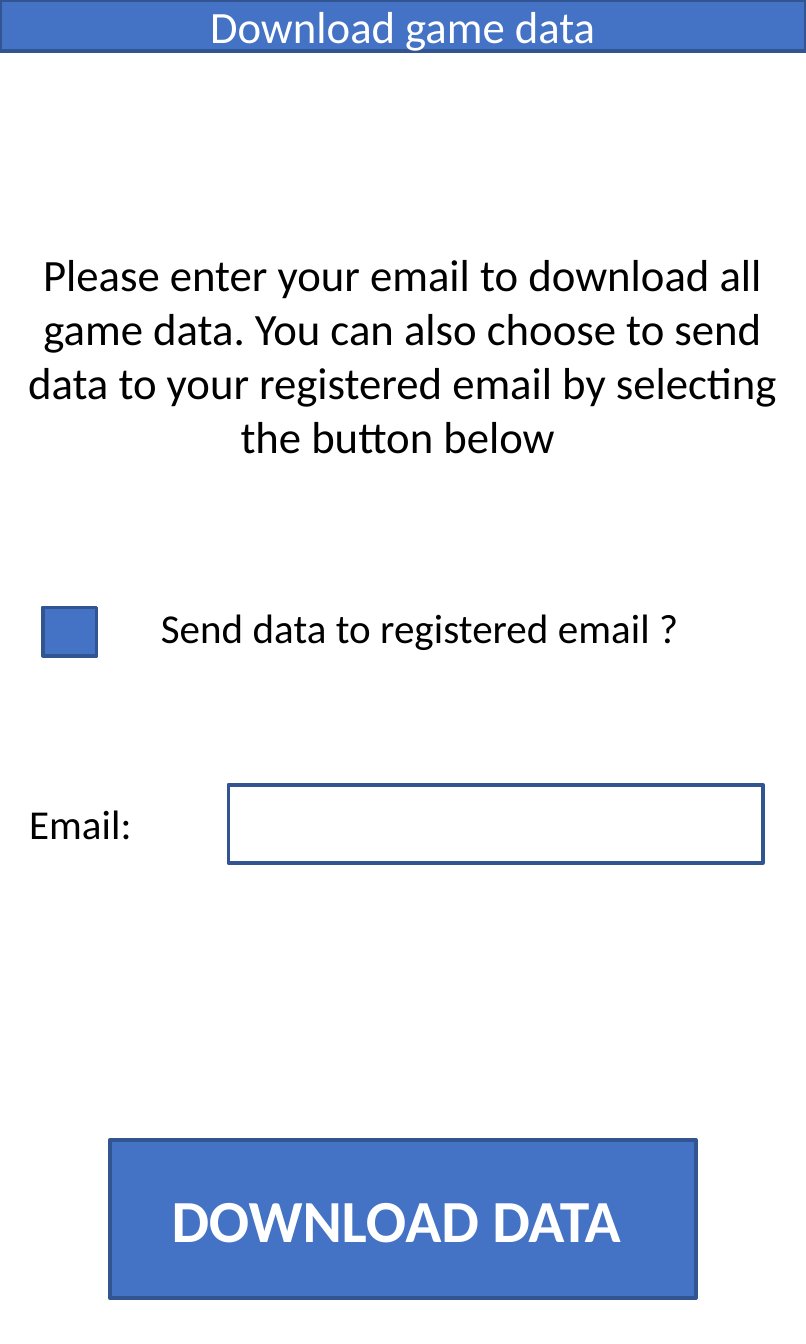
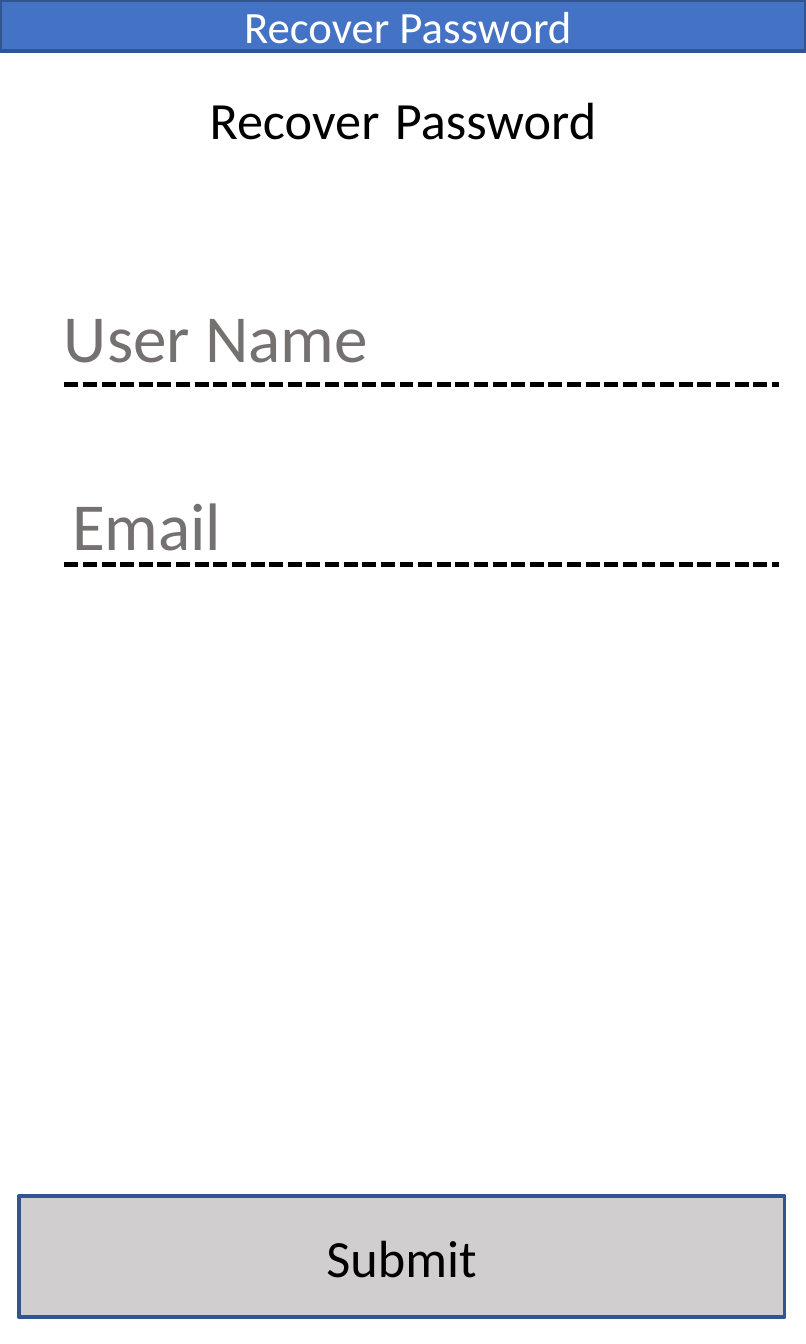
from pptx import Presentation
from pptx.dml.color import RGBColor
from pptx.enum.dml import MSO_LINE
from pptx.enum.shapes import MSO_CONNECTOR, MSO_SHAPE
from pptx.enum.text import MSO_ANCHOR, MSO_AUTO_SIZE, PP_ALIGN
from pptx.oxml.ns import qn
from pptx.util import Inches, Pt
from lxml import etree

BLUE = RGBColor(0x44, 0x72, 0xC4)
EDGE = RGBColor(0x32, 0x54, 0x91)
BLACK = RGBColor(0x00, 0x00, 0x00)
WHITE = RGBColor(0xFF, 0xFF, 0xFF)
HINT_GREY = RGBColor(0x76, 0x71, 0x71)
BUTTON_GREY = RGBColor(0xD0, 0xCE, 0xCE)

RECTANGLE = MSO_SHAPE.RECTANGLE
STRAIGHT = MSO_CONNECTOR.STRAIGHT
DOTTED = MSO_LINE.SQUARE_DOT
MIDDLE, TOP = MSO_ANCHOR.MIDDLE, MSO_ANCHOR.TOP
LEFT, CENTER = PP_ALIGN.LEFT, PP_ALIGN.CENTER
FIXED, GROW = MSO_AUTO_SIZE.NONE, MSO_AUTO_SIZE.SHAPE_TO_FIT_TEXT

FONT = "Calibri"
PAGE_WIDTH, PAGE_HEIGHT = 3, 5
TITLE_BOX = (0, 0, PAGE_WIDTH, 0.19)


def inches(box):
    return [Inches(length) for length in box]


def write(shape, spans, color=BLACK, align=LEFT, anchor=TOP, fit=FIXED, bold=False):
    """Fill a shape with one paragraph made of (text, size) spans."""
    frame = shape.text_frame
    frame_format = {"word_wrap": True, "auto_size": fit, "vertical_anchor": anchor}
    for name, value in frame_format.items():
        setattr(frame, name, value)
    para = frame.paragraphs[0]
    para.alignment = align
    for text, size in spans:
        span = para.add_run()
        span.text = text
        span_format = {"name": FONT, "size": Pt(size), "bold": bold}
        for name, value in span_format.items():
            setattr(span.font, name, value)
        span.font.color.rgb = color


def paint(shape, fill=None):
    """Give a shape the shared outline and an optional fill."""
    if fill is None:
        shape.fill.background()
    else:
        shape.fill.solid()
        shape.fill.fore_color.rgb = fill
    shape.line.color.rgb = EDGE
    shape.line.width = Pt(1)


def add_page(deck, title):
    page = deck.slides.add_slide(deck.slide_layouts[5])
    band = page.shapes.title
    band.left, band.top, band.width, band.height = inches(TITLE_BOX)
    paint(band, BLUE)
    write(band, [(title, 12)], WHITE, CENTER, MIDDLE)
    return page


def add_box(page, box, fill=None):
    shape = page.shapes.add_shape(RECTANGLE, *inches(box))
    shape.shadow.inherit = False
    paint(shape, fill)
    return shape


def add_button(page, box, text, size, fill, color, bold=False):
    write(add_box(page, box, fill), [(text, size)], color, CENTER, MIDDLE, bold=bold)


def add_label(page, box, spans, color=BLACK, align=LEFT):
    write(page.shapes.add_textbox(*inches(box)), spans, color, align, fit=GROW)


def add_checkbox_row(page, box):
    left, top, width, height = box
    add_box(page, (left, top + 0.07, 0.2, 0.18), BLUE)
    add_label(page, (left + 0.34, top, width - 0.34, height),
              [("Send data to registered email ?", 11)])


def add_email_row(page, box):
    left, top, width, height = box
    add_label(page, (left, top, 0.65, height), [("Email:", 11)])
    add_box(page, (left + 0.84, top, width - 0.84, height))


def add_dotted_field(page, box, hint, hint_left, hint_top):
    """Draw a dotted rule along the bottom of the box, with a grey hint above it."""
    left, top, width, height = box
    rule = page.shapes.add_connector(
        STRAIGHT, *inches((left, top + height, left + width, top + height)))
    rule.line.color.rgb = BLACK
    rule.line.width = Pt(1.25)
    rule.line.dash_style = DOTTED
    etree.SubElement(rule._element.spPr, qn("a:effectLst"))
    add_label(page, (left + hint_left, top + hint_top, 2.73, 0.4), [(hint, 18)], HINT_GREY)


def build_download_page(deck):
    page = add_page(deck, "Download game data")
    add_label(page, (0, 0.87, PAGE_WIDTH, 0.91),
              [("Please enter your email to download all game data. You can also choose "
                "to send data to your registered email by selecting the button below ", 12)],
              align=CENTER)
    add_checkbox_row(page, (0.16, 2.19, 2.52, 0.29))
    add_email_row(page, (0.01, 2.92, 2.83, 0.29))
    add_button(page, (0.41, 4.24, 2.18, 0.59), "DOWNLOAD DATA ", 16, BLUE, WHITE, bold=True)


def build_recovery_page(deck):
    page = add_page(deck, " Recover Password")
    add_label(page, (0, 0.22, PAGE_WIDTH, 0.4),
              [("Recover", 14), (" ", 18), ("Password", 14)], align=CENTER)
    fields = [("User Name", 1.03, -0.1, 0.02), ("Email", 1.7, -0.07, 0.05)]
    for hint, top, hint_left, hint_top in fields:
        add_dotted_field(page, (0.24, top, 2.66, 0.4), hint, hint_left, hint_top)
    add_button(page, (0.07, 4.45, 2.85, 0.45), "Submit", 14, BUTTON_GREY, BLACK)


def main():
    deck = Presentation()
    deck.slide_width, deck.slide_height = Inches(PAGE_WIDTH), Inches(PAGE_HEIGHT)
    build_download_page(deck)
    build_recovery_page(deck)
    deck.save("out.pptx")


if __name__ == "__main__":
    main()
